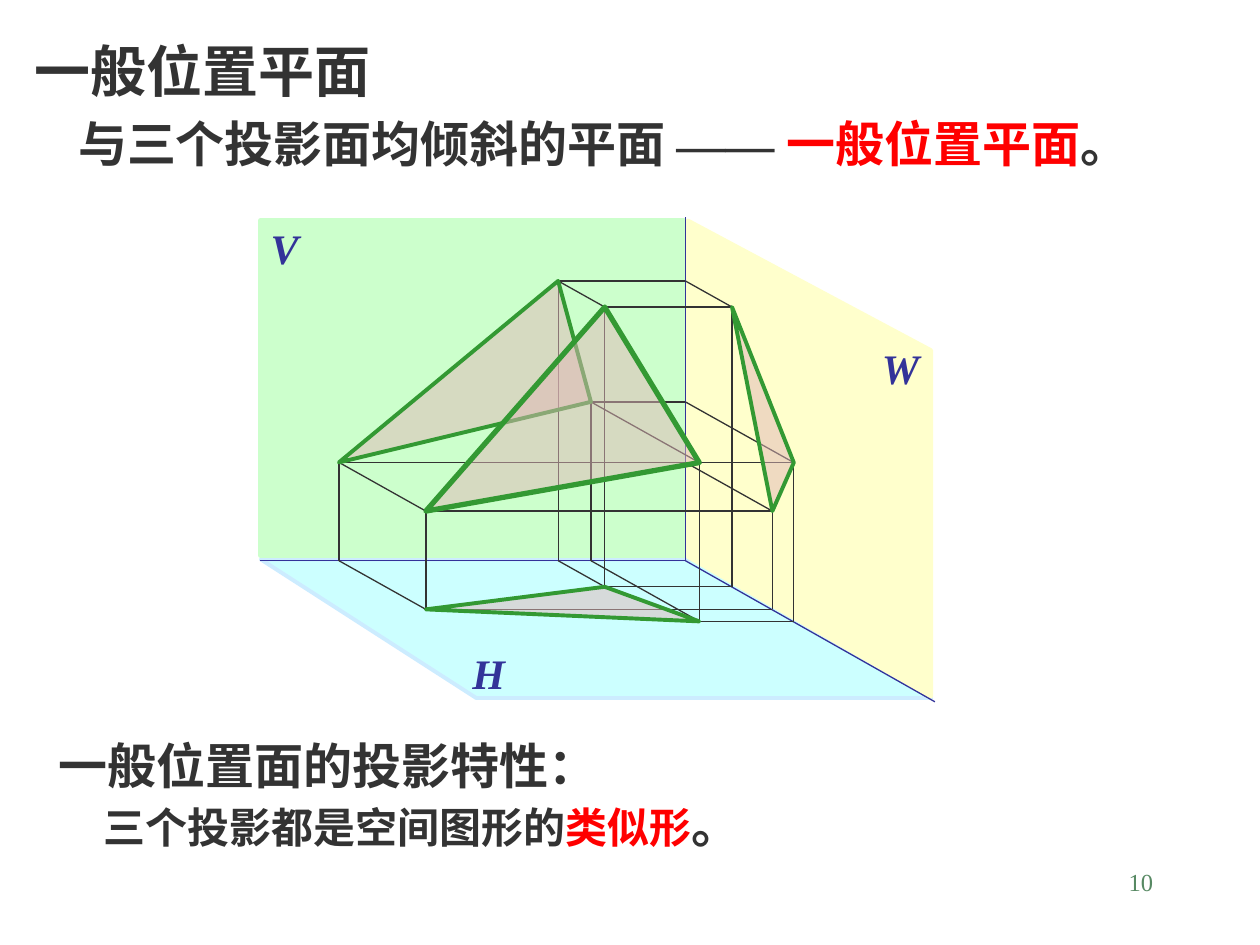
from dataclasses import dataclass

from lxml.etree import SubElement
from pptx import Presentation
from pptx.dml.color import RGBColor
from pptx.enum.shapes import MSO_CONNECTOR, MSO_SHAPE
from pptx.enum.text import MSO_ANCHOR, MSO_AUTO_SIZE, PP_ALIGN
from pptx.oxml.ns import qn
from pptx.util import Inches, Pt


@dataclass(frozen=True)
class Theme:
    cjk: str = "Noto Sans CJK SC"
    latin: str = "Times New Roman"
    ink: str = "333333"
    accent: str = "FF0000"
    axis: str = "333399"
    number: str = "578963"
    v_plane: str = "CCFFCC"
    w_plane: str = "FFFFCC"
    h_plane: str = "CCFFFF"
    h_edge: str = "CCECFF"
    triangle: str = "E1B7B7"
    triangle_edge: str = "339933"
    heading: int = 32
    body: int = 28
    detail: int = 24
    small: int = 14
    thin: float = 0.75
    medium: float = 2.25
    thick: float = 3


theme = Theme()
prs = Presentation()
prs.slide_width, prs.slide_height = Inches(10), Inches(7.5)
cell = prs.slide_width // 100  # square grid: 100 columns by 75 rows
slide = prs.slides.add_slide(prs.slide_layouts[5])


def write(paragraph, text, size, color=theme.ink, face=theme.cjk, bold=True, italic=False):
    """Append one run, with the same face for Latin and East Asian characters."""
    run = paragraph.add_run()
    run.text = text
    font = run.font
    font.size, font.bold, font.italic, font.name = Pt(size), bold, italic, face
    font.color.rgb = RGBColor.from_string(color)
    SubElement(font._element, qn("a:ea"), typeface=face)


def add_polygon(parent, corners, fill, edge, width, opacity=100):
    first, *others = [(round(x * cell), round(y * cell)) for x, y in corners]
    builder = parent.build_freeform(*first)
    builder.add_line_segments(others, close=True)
    polygon = builder.convert_to_shape()
    polygon.shadow.inherit = False
    polygon.fill.solid()
    polygon.fill.fore_color.rgb = RGBColor.from_string(fill)
    polygon.line.color.rgb = RGBColor.from_string(edge)
    polygon.line.width = Pt(width)
    if opacity < 100:
        color = polygon._element.spPr.find(qn("a:solidFill"))[0]
        SubElement(color, qn("a:alpha"), val=str(opacity * 1000))


# Title and definition
title = slide.shapes.title
title.left, title.top, title.width, title.height = [
    round(n * cell) for n in (1.7, 2.3, 96.3, 11.9)]
statement = slide.shapes.add_textbox(
    *[round(n * cell) for n in (3.7, 57.9, 96.3, 10.3)])
indent = round(3.5 * cell)
passages = [
    (title, "一般位置平面", theme.heading, 5.6, [
        ("与三个投影面均倾斜的平面 ", theme.body, theme.ink, theme.cjk),
        ("—— ", theme.body, theme.ink, theme.latin),
        ("一般位置平面", theme.body, theme.accent, theme.cjk),
        ("。", theme.body, theme.ink, theme.cjk)]),
    (statement, "一般位置面的投影特性：", theme.body, 0, [
        ("三个投影都是空间图形的", theme.detail, theme.ink, theme.cjk),
        ("类似形", theme.detail, theme.accent, theme.cjk),
        ("。", theme.body, theme.ink, theme.cjk)]),
]
for box, heading, size, gap, runs in passages:
    frame = box.text_frame
    frame.word_wrap, frame.auto_size = True, MSO_AUTO_SIZE.NONE
    frame.vertical_anchor = MSO_ANCHOR.MIDDLE
    lead, detail = frame.paragraphs[0], frame.add_paragraph()
    lead.alignment = detail.alignment = PP_ALIGN.LEFT
    write(lead, heading, size)
    detail.space_before = Pt(gap)
    properties = detail._p.get_or_add_pPr()
    properties.set("marL", str(indent))
    properties.set("indent", "0")
    for run in runs:
        write(detail, *run)

# Projection planes
figure = slide.shapes.add_group_shape().shapes
add_polygon(figure, [(37.8, 55.4), (73.9, 55.4), (55, 44.4), (20.7, 44.4)],
            theme.h_plane, theme.h_edge, theme.medium)
v_plane = figure.add_shape(
    MSO_SHAPE.RECTANGLE, *[round(n * cell) for n in (20.7, 17.5, 33.6, 26.6)])
v_plane.shadow.inherit = False
v_plane.fill.solid()
v_plane.fill.fore_color.rgb = RGBColor.from_string(theme.v_plane)
v_plane.line.color.rgb = RGBColor.from_string(theme.v_plane)
v_plane.line.width = Pt(theme.thick)
add_polygon(figure, [(54.6, 17.5), (54.6, 44.2), (73.9, 55.3), (73.9, 27.8)],
            theme.w_plane, theme.w_plane, theme.medium)

# Each vertex is given by its V projection and its distance in front of V.
# Nine projection lines per vertex join it, its projections and the axes.
origin_x, origin_y, depth_slope = 54.4, 44.5, 0.56
vertices = [(44.3, 22.3, 3.7), (26.9, 36.7, 6.9), (46.9, 31.9, 8.6)]
segments = [
    ((20.6, origin_y), (origin_x, origin_y), theme.axis),
    ((origin_x, origin_y), (74.2, 55.7), theme.axis),
    ((origin_x, origin_y), (origin_x, 17.2), theme.axis),
]
in_space, on_v, on_w, on_h = [], [], [], []
for x, y, depth in vertices:
    drop = depth * depth_slope
    space, v = (x + depth, y + drop), (x, y)
    w, h = (origin_x + depth, y + drop), (x + depth, origin_y + drop)
    x_foot, z_foot = (x, origin_y), (origin_x, y)
    y_foot = (origin_x + depth, origin_y + drop)
    for points, point in ((in_space, space), (on_v, v), (on_w, w), (on_h, h)):
        points.append(point)
    for start, ends in ((space, (v, w, h)), (v, (x_foot, z_foot)),
                        (w, (z_foot, y_foot)), (h, (x_foot, y_foot))):
        segments += [(start, end, theme.ink) for end in ends]

for start, end, color in segments:
    ray = figure.add_connector(
        MSO_CONNECTOR.STRAIGHT, *[round(n * cell) for n in (*start, *end)])
    ray.line.color.rgb = RGBColor.from_string(color)
    ray.line.width = Pt(theme.thin)
    SubElement(ray._element.spPr, qn("a:effectLst"))

for corners, width in ((on_h, theme.medium), (on_w, theme.medium),
                       (on_v, theme.medium), (in_space, theme.thick)):
    add_polygon(figure, corners, theme.triangle, theme.triangle_edge, width, 50)

for letter, left, top, width in (("V", 20.5, 17.2, 4.2), ("W", 69, 26.7, 5),
                                 ("H", 36.5, 50.9, 4.6)):
    label = figure.add_textbox(*[round(n * cell) for n in (left, top, width, 5)])
    label.text_frame.word_wrap = False
    write(label.text_frame.paragraphs[0], letter, theme.detail, theme.axis,
          theme.latin, italic=True)

# Page number
page = slide.shapes.add_textbox(*[round(n * cell) for n in (71.7, 68.3, 20.8, 5)])
page.text_frame.word_wrap = True
page_line = page.text_frame.paragraphs[0]
page_line.alignment = PP_ALIGN.RIGHT
write(page_line, "10", theme.small, theme.number, theme.latin, bold=False)

prs.save("out.pptx")
